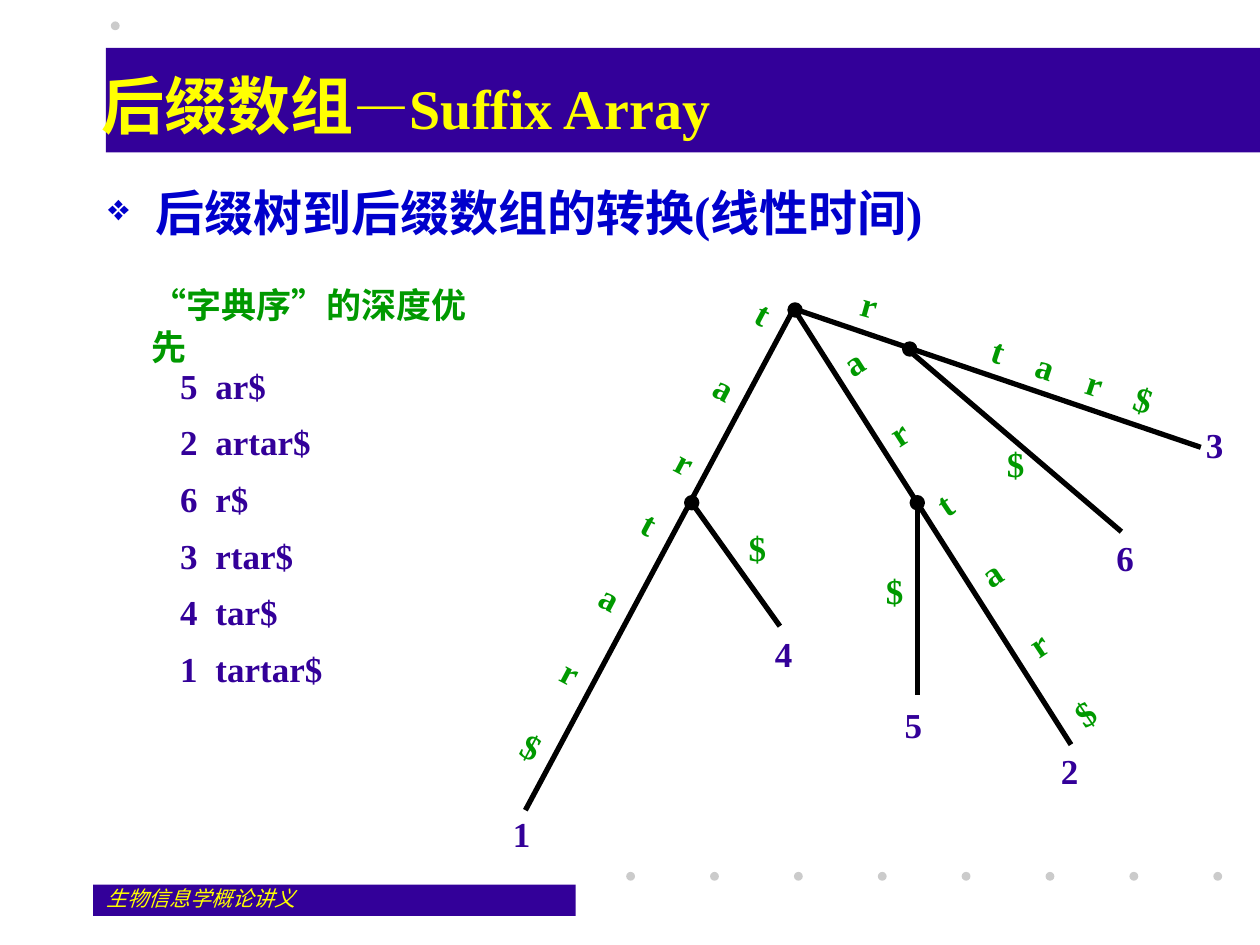
from lxml import etree
from pptx import Presentation
from pptx.dml.color import RGBColor
from pptx.enum.shapes import MSO_CONNECTOR, MSO_SHAPE
from pptx.enum.text import MSO_ANCHOR, PP_ALIGN
from pptx.oxml.ns import qn
from pptx.util import Inches, Pt

RECTANGLE, OVAL = MSO_SHAPE.RECTANGLE, MSO_SHAPE.OVAL
STRAIGHT = MSO_CONNECTOR.STRAIGHT
LEFT, CENTER = PP_ALIGN.LEFT, PP_ALIGN.CENTER
TOP, MIDDLE = MSO_ANCHOR.TOP, MSO_ANCHOR.MIDDLE

PURPLE = RGBColor(0x33, 0x00, 0x99)
YELLOW = RGBColor(0xFF, 0xFF, 0x00)
BLUE = RGBColor(0x00, 0x00, 0xCC)
GREEN = RGBColor(0x00, 0x99, 0x00)
GRAY = RGBColor(0xCB, 0xCB, 0xCB)
BLACK = RGBColor(0x00, 0x00, 0x00)

SERIF = "Times New Roman"
HAN = "Noto Sans CJK SC"

ROOT = (6.30, 2.45)
EDGES = [
    (ROOT, (4.17, 6.43)),
    (ROOT, (8.50, 5.91)),
    (ROOT, (9.53, 3.55)),
    ((7.20, 2.77), (8.90, 4.22)),
    ((5.49, 3.99), (6.19, 4.97)),
    ((7.28, 4.03), (7.28, 5.52)),
]
NODES = [(6.27, 2.42), (5.45, 3.95), (7.24, 3.95), (7.18, 2.73)]
EDGE_LETTERS = [
    ("tar", 5.63, 2.24, 0.24, 1.67, 27.9),
    ("tar$", 4.57, 3.87, 0.24, 2.33, 27.9),
    ("ar", 6.85, 2.65, 0.20, 1.00, 327.3),
    ("tar$", 7.91, 3.66, 0.28, 2.33, 326.1),
    ("r", 6.81, 2.25, 0.19, 0.33, 15.7),
]
LEAVES = [("1", 4.07, 6.45), ("2", 8.42, 5.95), ("3", 9.57, 3.36),
          ("4", 6.15, 5.02), ("5", 7.18, 5.58), ("6", 8.86, 4.26)]
END_MARKS = [(5.94, 4.18), (7.03, 4.52), (7.99, 3.51)]
SUFFIXES = [("5", "ar$"), ("2", "artar$"), ("6", "r$"),
            ("3", "rtar$"), ("4", "tar$"), ("1", "tartar$")]


def add_filled(slide, kind, left, top, width, height, color):
    """Add a filled shape without an outline."""
    shape = slide.shapes.add_shape(
        kind, Inches(left), Inches(top), Inches(width), Inches(height))
    shape.shadow.inherit = False
    shape.fill.solid()
    shape.fill.fore_color.rgb = color
    shape.line.fill.background()
    return shape


def add_node(slide, left, top):
    """Add a black tree node."""
    node = add_filled(slide, OVAL, left, top, 0.08, 0.08, BLACK)
    node.line.color.rgb = BLACK
    node.line.width = Pt(3)


def add_edge(slide, start, end):
    """Add a black tree edge."""
    edge = slide.shapes.add_connector(
        STRAIGHT, *(Inches(value) for value in start + end))
    edge.line.color.rgb = BLACK
    edge.line.width = Pt(3)
    etree.SubElement(edge._element.spPr, qn("a:effectLst"))


def add_frame(slide, left, top, width, height, margins=(0, 0), wrap=True,
              anchor=TOP, rotation=0):
    """Add a text box and return its text frame."""
    box = slide.shapes.add_textbox(
        Inches(left), Inches(top), Inches(width), Inches(height))
    box.rotation = rotation
    frame = box.text_frame
    frame.word_wrap = wrap
    frame.vertical_anchor = anchor
    frame.margin_left = frame.margin_right = Inches(margins[0])
    frame.margin_top = frame.margin_bottom = Inches(margins[1])
    return frame


def format_run(run, size, color, bold=True, italic=False, font=SERIF):
    """Set the Latin and East Asian fonts, size, colour and style of a run."""
    run.font.name = font
    run.font.size = Pt(size)
    run.font.bold = bold
    run.font.italic = italic
    run.font.color.rgb = color
    properties = run.font._element
    properties.set("lang", "zh-CN")
    etree.SubElement(properties, qn("a:ea"), typeface=HAN)


def fill_line(paragraph, text, color, align=LEFT, tabs=()):
    """Write a 20-point line with fixed pitch and optional tab stops in inches."""
    paragraph.text = text
    paragraph.alignment = align
    paragraph.line_spacing = Pt(24)
    if tabs:
        properties = paragraph._p.get_or_add_pPr()
        tab_list = etree.SubElement(properties, qn("a:tabLst"))
        for position in tabs:
            etree.SubElement(tab_list, qn("a:tab"),
                             pos=str(Inches(position)), algn="l")
    for run in paragraph.runs:
        format_run(run, 20, color)


def add_label(slide, text, left, top, color):
    """Add a one-character label of the tree."""
    frame = add_frame(slide, left, top, 0.14, 0.33, wrap=False)
    fill_line(frame.paragraphs[0], text, color, CENTER)


def add_letter_column(slide, letters, left, top, width, height, rotation):
    """Add letters stacked along a slanted edge."""
    frame = add_frame(slide, left, top, width, height, rotation=rotation)
    frame.text = "\n".join(letters)
    for index, paragraph in enumerate(frame.paragraphs):
        fill_line(paragraph, letters[index], GREEN, CENTER)
        if index:
            paragraph.space_before = Pt(24)


def add_background(slide):
    """Add the bands and decorative dots."""
    add_filled(slide, RECTANGLE, 0.74, 7.02, 3.83, 0.25, PURPLE)
    for index in range(8):
        add_filled(slide, OVAL, 4.97 + index * 4.66 / 7, 6.92, 0.07, 0.07, GRAY)
    add_filled(slide, RECTANGLE, 0.84, 0.38, 9.16, 0.83, PURPLE)
    add_filled(slide, OVAL, 0.88, 0.17, 0.07, 0.07, GRAY)


def add_headings(slide):
    """Add the footer, title and bulleted heading."""
    footer = add_frame(slide, 0.75, 7.01, 2.08, 0.25, (0.1, 0.02))
    footer.text = "生物信息学概论讲义"
    format_run(footer.paragraphs[0].runs[0], 12, YELLOW, bold=False, italic=True)

    title = add_frame(slide, 0.71, 0.33, 8.9, 1, (0.1, 0.05), anchor=MIDDLE)
    for text, size, font in [("后缀数组", 36, SERIF), ("—", 32, HAN),
                             ("Suffix Array", 32, SERIF)]:
        run = title.paragraphs[0].add_run()
        run.text = text
        format_run(run, size, YELLOW, font=font)

    body = add_frame(slide, 0.76, 1.44, 8.9, 5.38, (0.1, 0.01))
    body.text = "后缀树到后缀数组的转换(线性时间)"
    paragraph = body.paragraphs[0]
    properties = paragraph._p.get_or_add_pPr()
    properties.set("marL", str(Inches(0.38)))
    properties.set("indent", str(-Inches(0.38)))
    bullet_color = etree.SubElement(properties, qn("a:buClr"))
    etree.SubElement(bullet_color, qn("a:srgbClr"), val=str(BLUE))
    etree.SubElement(properties, qn("a:buSzPct"), val="75000")
    etree.SubElement(properties, qn("a:buChar"), char="❖")
    format_run(paragraph.runs[0], 28, BLUE)


def add_tree(slide):
    """Add the suffix tree with its edge and leaf labels."""
    for start, end in EDGES:
        add_edge(slide, start, end)
    for left, top in NODES:
        add_node(slide, left, top)
    for column in EDGE_LETTERS:
        add_letter_column(slide, *column)
    for text, left, top in LEAVES:
        add_label(slide, text, left, top, PURPLE)
    for left, top in END_MARKS:
        add_label(slide, "$", left, top, GREEN)
    frame = add_frame(slide, 7.85, 2.81, 1.33, 0.33, rotation=18.4)
    fill_line(frame.paragraphs[0], "t\ta\tr\t$", GREEN, tabs=(0.37, 0.79, 1.19))


def add_suffix_list(slide):
    """Add the suffixes in lexicographic order."""
    caption = add_frame(slide, 1.2, 2.25, 2.63, 0.33)
    fill_line(caption.paragraphs[0], "“字典序”的深度优先", GREEN)
    for index, (position, suffix) in enumerate(SUFFIXES):
        frame = add_frame(slide, 1.43, 2.89 + index * 0.45, 1.13, 0.33)
        fill_line(frame.paragraphs[0], f"{position}\t{suffix}", PURPLE, tabs=(0.28,))


def main():
    """Build and save the slide."""
    presentation = Presentation()
    presentation.slide_width = Inches(10)
    presentation.slide_height = Inches(7.5)
    slide = presentation.slides.add_slide(presentation.slide_layouts[6])
    add_background(slide)
    add_headings(slide)
    add_tree(slide)
    add_suffix_list(slide)
    presentation.save("out.pptx")


if __name__ == "__main__":
    main()
